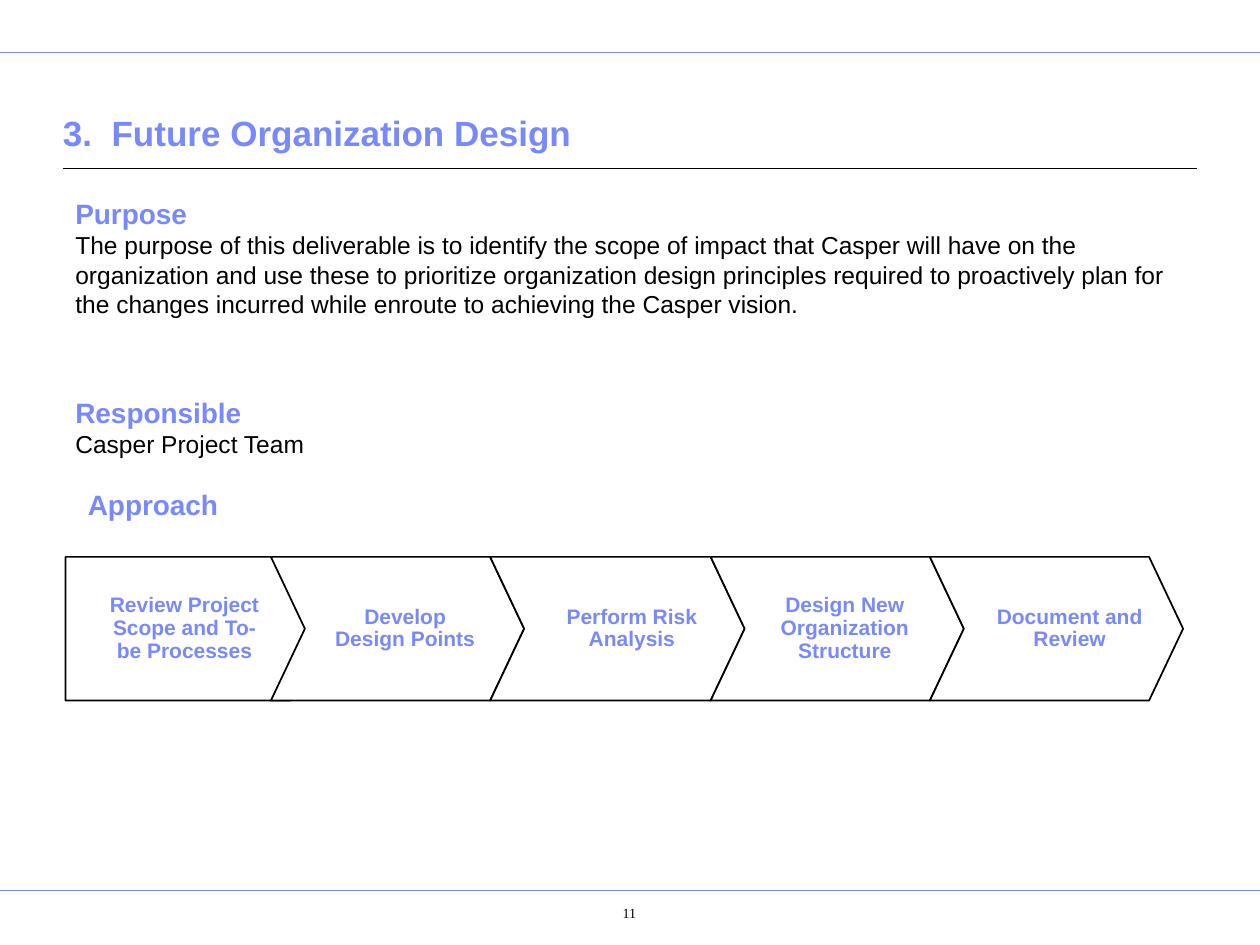
import pptx
import pptx.dml.color
import pptx.enum.shapes
import pptx.enum.text
import pptx.oxml
import pptx.oxml.ns
import pptx.util

PX = 9144
COLORS = {"accent": "7889FB", "ink": "000000", "paper": "FFFFFF"}
ALIGN = pptx.enum.text.PP_ALIGN
ANCHOR = pptx.enum.text.MSO_ANCHOR
STEPS = [
    ("Review Project Scope and To-be Processes", 78, 137),
    ("Develop Design Points", 257, 129),
    ("Perform Risk Analysis", 422, 159),
    ("Design New Organization Structure", 606, 129),
    ("Document and Review", 771, 156),
]


def rgb(name):
    """Return the named palette colour."""
    return pptx.dml.color.RGBColor.from_string(COLORS[name])


def add_rule(slide, left, top, width, color, weight):
    """Draw a horizontal rule."""
    rule = slide.shapes.add_connector(
        pptx.enum.shapes.MSO_CONNECTOR.STRAIGHT,
        left * PX, top * PX, (left + width) * PX, top * PX)
    rule.line.color.rgb = rgb(color)
    rule.line.width = pptx.util.Pt(weight)
    rule._element.spPr.append(pptx.oxml.parse_xml(
        "<a:effectLst %s/>" % pptx.oxml.ns.nsdecls("a")))


def add_text(slide, box, paragraphs, insets=(10, 5, 10, 5), anchor=ANCHOR.TOP,
             align=ALIGN.LEFT, spacing=None, font="Arial"):
    """Place paragraphs of (text, size, colour, bold) in a text box."""
    frame = slide.shapes.add_textbox(*(n * PX for n in box)).text_frame
    frame.word_wrap = True
    frame.vertical_anchor = anchor
    (frame.margin_left, frame.margin_top,
     frame.margin_right, frame.margin_bottom) = (n * PX for n in insets)
    for index, (text, size, color, bold) in enumerate(paragraphs):
        paragraph = frame.add_paragraph() if index else frame.paragraphs[0]
        paragraph.alignment = align
        if spacing:
            paragraph.line_spacing = spacing
        run = paragraph.add_run()
        run.text = text
        run.font.name = font
        run.font.size = pptx.util.Pt(size)
        run.font.bold = bold
        run.font.color.rgb = rgb(color)


def add_outline(slide, points):
    """Draw one closed step outline."""
    builder = slide.shapes.build_freeform(*points[0], scale=PX)
    builder.add_line_segments(points[1:], close=True)
    step = builder.convert_to_shape()
    step.shadow.inherit = False
    step.fill.solid()
    step.fill.fore_color.rgb = rgb("paper")
    step.line.color.rgb = rgb("ink")
    step.line.width = pptx.util.Pt(1)


def add_header(slide, left, top, width, height):
    """Place the slide title above its rule."""
    add_rule(slide, left, top + height + 7, width, "ink", 0.75)
    add_text(slide, (left, top, width, height),
             [("3.  Future Organization Design", 20, "accent", True)],
             insets=(0, 5, 0, 5), anchor=ANCHOR.BOTTOM)


def add_section(slide, left, top, width, height, heading, body, anchor):
    """Place a heading with its body text."""
    add_text(slide, (left, top, width, height),
             [(heading, 16, "accent", True), (body, 14, "ink", False)],
             anchor=anchor)


def add_approach(slide, left, top, width, height):
    """Place the approach heading and its chain of labelled steps."""
    add_text(slide, (left - 2, top - 60, 143, 37),
             [("Approach", 16, "accent", True)], align=ALIGN.CENTER)
    middle, bottom = top + height // 2, top + height
    add_outline(slide, [(left, top), (left + 178, top), (left + 222, middle),
                        (left + 178, bottom), (left, bottom)])
    chain, notch, count = left + 163, 27, len(STEPS) - 1
    pitch = (left + width - notch - chain) / count
    for index in range(count):
        back = round(chain + index * pitch)
        front = round(chain + (index + 1) * pitch)
        add_outline(slide, [(front, top), (back, top), (back + notch, middle),
                            (back, bottom), (front, bottom),
                            (front + notch, middle)])
    for label, label_left, label_width in STEPS:
        add_text(slide, (label_left, middle - 32, label_width, 64),
                 [(label, 12, "accent", True)], insets=(5, 5, 5, 5),
                 anchor=ANCHOR.MIDDLE, align=ALIGN.CENTER, spacing=0.9)


def add_footer(slide, left, top, width, height):
    """Place the footer rule and the page number."""
    add_rule(slide, left, top, width, "accent", 0.5)
    add_text(slide, (left + 427, top + 4, 115, height),
             [("11", 8, "ink", False)], insets=(40, 7, 10, 5),
             align=ALIGN.CENTER, font="Times New Roman")


def main():
    """Build the slide and save it."""
    deck = pptx.Presentation()
    deck.slide_width, deck.slide_height = 1000 * PX, 750 * PX
    slide = deck.slides.add_slide(deck.slide_layouts[6])
    add_rule(slide, 0, 42, 1000, "accent", 0.5)
    add_header(slide, 50, 64, 900, 63)
    add_section(
        slide, 50, 151, 900, 107, "Purpose",
        "The purpose of this deliverable is to identify the scope of impact "
        "that Casper will have on the organization and use these to "
        "prioritize organization design principles required to proactively "
        "plan for the changes incurred while enroute to achieving the "
        "Casper vision.", ANCHOR.MIDDLE)
    add_section(slide, 50, 309, 900, 61, "Responsible",
                "Casper Project Team", ANCHOR.TOP)
    add_approach(slide, 52, 442, 887, 114)
    add_footer(slide, 0, 707, 1000, 35)
    deck.save("out.pptx")


if __name__ == "__main__":
    main()
